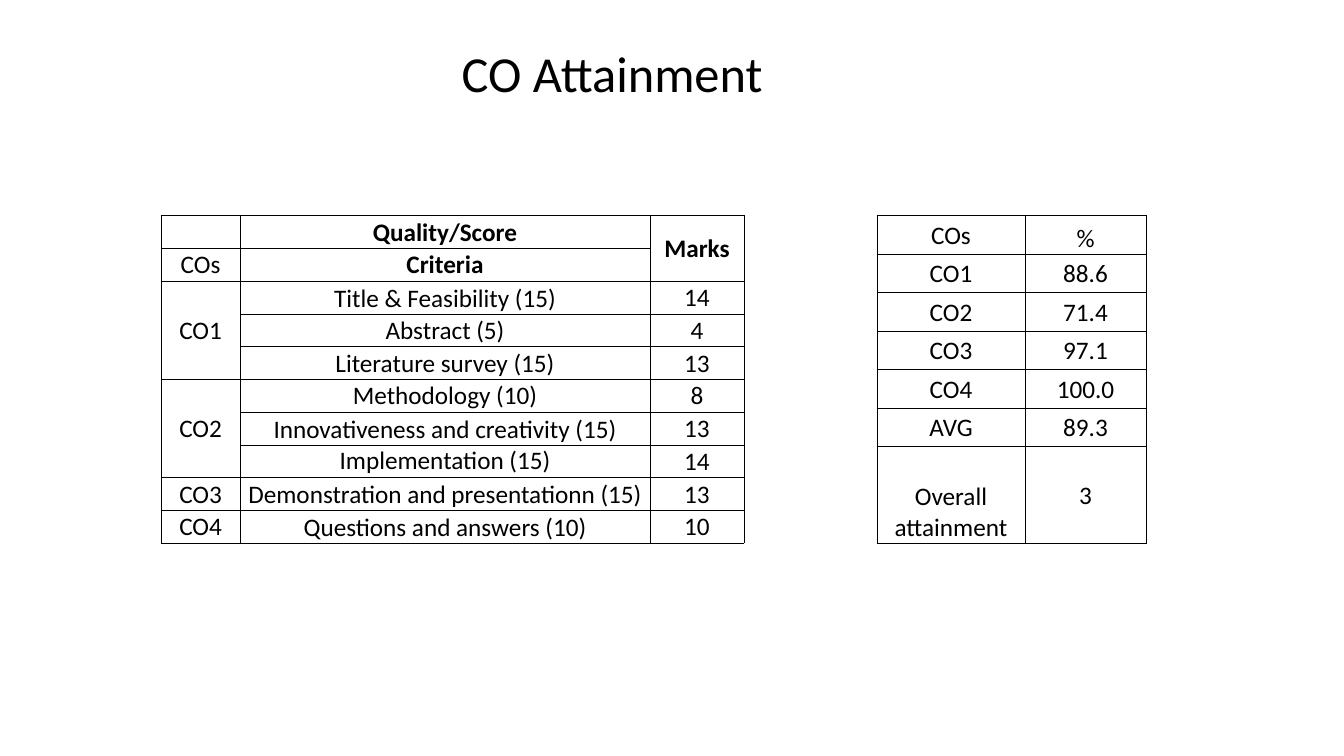
"""Build the CO Attainment slide with its marks table and its percentage table."""
from dataclasses import dataclass

from lxml import etree
from pptx import Presentation
from pptx.dml.color import RGBColor
from pptx.enum.text import MSO_ANCHOR, MSO_AUTO_SIZE, PP_ALIGN
from pptx.oxml.ns import qn
from pptx.util import Pt

BLACK = RGBColor(0x00, 0x00, 0x00)
FONT = "Calibri"
LEFT, CENTER = PP_ALIGN.LEFT, PP_ALIGN.CENTER
TOP, MIDDLE, BOTTOM = MSO_ANCHOR.TOP, MSO_ANCHOR.MIDDLE, MSO_ANCHOR.BOTTOM
NO_AUTOFIT = MSO_AUTO_SIZE.NONE
TABLE_TOP = 154.1
BORDER = 0.5
INSET = 0.7


@dataclass
class Cell:
    text: str = ""
    bold: bool = False
    anchor: MSO_ANCHOR = MIDDLE
    rows: int = 1


@dataclass
class Grid:
    left: float
    widths: list[float]
    heights: list[float]
    cells: list[list[Cell]]


MARKS = Grid(115.2, [56.2, 293, 67], [23.4] * 10, [
    [Cell(), Cell("Quality/Score", bold=True), Cell("Marks", bold=True, rows=2)],
    [Cell("COs"), Cell("Criteria", bold=True, anchor=TOP), Cell()],
    [Cell("CO1", rows=3), Cell("Title & Feasibility (15)", anchor=BOTTOM), Cell("14")],
    [Cell(), Cell("Abstract (5)"), Cell("4")],
    [Cell(), Cell("Literature survey (15)"), Cell("13")],
    [Cell("CO2", rows=3), Cell("Methodology (10)"), Cell("8")],
    [Cell(), Cell("Innovativeness and creativity (15)", anchor=BOTTOM), Cell("13")],
    [Cell(), Cell("Implementation (15)", anchor=TOP), Cell("14")],
    [Cell("CO3"), Cell("Demonstration and presentationn (15)"), Cell("13")],
    [Cell("CO4"), Cell("Questions and answers (10)", anchor=BOTTOM), Cell("10")],
])

ATTAINMENT = Grid(626.4, [105.8, 86.4], [27.5] * 6 + [69], [
    [Cell("COs"), Cell("%", anchor=BOTTOM)],
    [Cell("CO1"), Cell("88.6")],
    [Cell("CO2"), Cell("71.4")],
    [Cell("CO3"), Cell("97.1")],
    [Cell("CO4"), Cell("100.0")],
    [Cell("AVG"), Cell("89.3")],
    [Cell("Overall attainment", anchor=BOTTOM), Cell("3")],
])


def write(tf, text: str, *, size: float = 18, bold: bool = False, align=CENTER) -> None:
    p = tf.paragraphs[0]
    p.alignment = align
    r = p.add_run()
    r.text = text
    r.font.name, r.font.size, r.font.bold = FONT, Pt(size), bold
    r.font.color.rgb = BLACK


def add_borders(cell) -> None:
    tc_pr = cell._tc.get_or_add_tcPr()
    for i, side in enumerate(("lnL", "lnR", "lnT", "lnB")):
        ln = etree.Element(qn(f"a:{side}"), w=str(Pt(BORDER)))
        fill = etree.SubElement(ln, qn("a:solidFill"))
        etree.SubElement(fill, qn("a:srgbClr"), val=str(BLACK))
        tc_pr.insert(i, ln)


def add_grid(s, grid: Grid) -> None:
    table = s.shapes.add_table(
        len(grid.heights), len(grid.widths), Pt(grid.left), Pt(TABLE_TOP),
        Pt(sum(grid.widths)), Pt(sum(grid.heights))).table
    table.first_row = table.horz_banding = False
    for column, width in zip(table.columns, grid.widths):
        column.width = Pt(width)
    for row, height in zip(table.rows, grid.heights):
        row.height = Pt(height)
    for i, row in enumerate(grid.cells):
        for j, item in enumerate(row):
            cell = table.cell(i, j)
            cell.margin_left = cell.margin_right = cell.margin_top = Pt(INSET)
            cell.margin_bottom = Pt(0)
            cell.vertical_anchor = item.anchor
            cell.fill.background()
            add_borders(cell)
            if item.text:
                write(cell.text_frame, item.text, bold=item.bold)
            if item.rows > 1:
                cell.merge(table.cell(i + item.rows - 1, j))


def add_title(s, text: str) -> None:
    sp = s.shapes.title
    sp.left, sp.top, sp.width, sp.height = Pt(322.6), Pt(26.6), Pt(231.8), Pt(51.1)
    tf = sp.text_frame
    tf.word_wrap = False
    tf.auto_size = NO_AUTOFIT
    tf.vertical_anchor = TOP
    write(tf, text, size=36, align=LEFT)


def main() -> None:
    prs = Presentation()
    prs.slide_width, prs.slide_height = Pt(960), Pt(540)
    s = prs.slides.add_slide(prs.slide_layouts[5])
    add_title(s, "CO Attainment")
    for grid in (MARKS, ATTAINMENT):
        add_grid(s, grid)
    prs.save("out.pptx")


if __name__ == "__main__":
    main()
